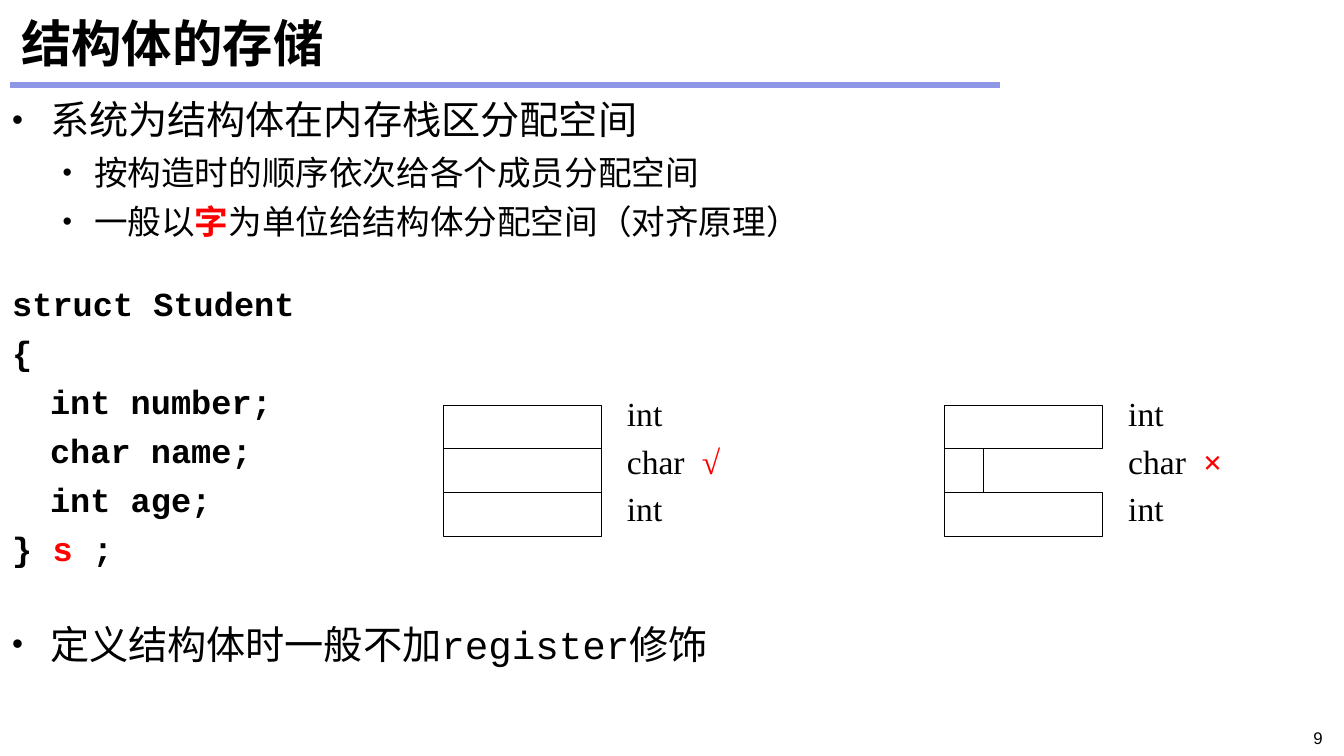
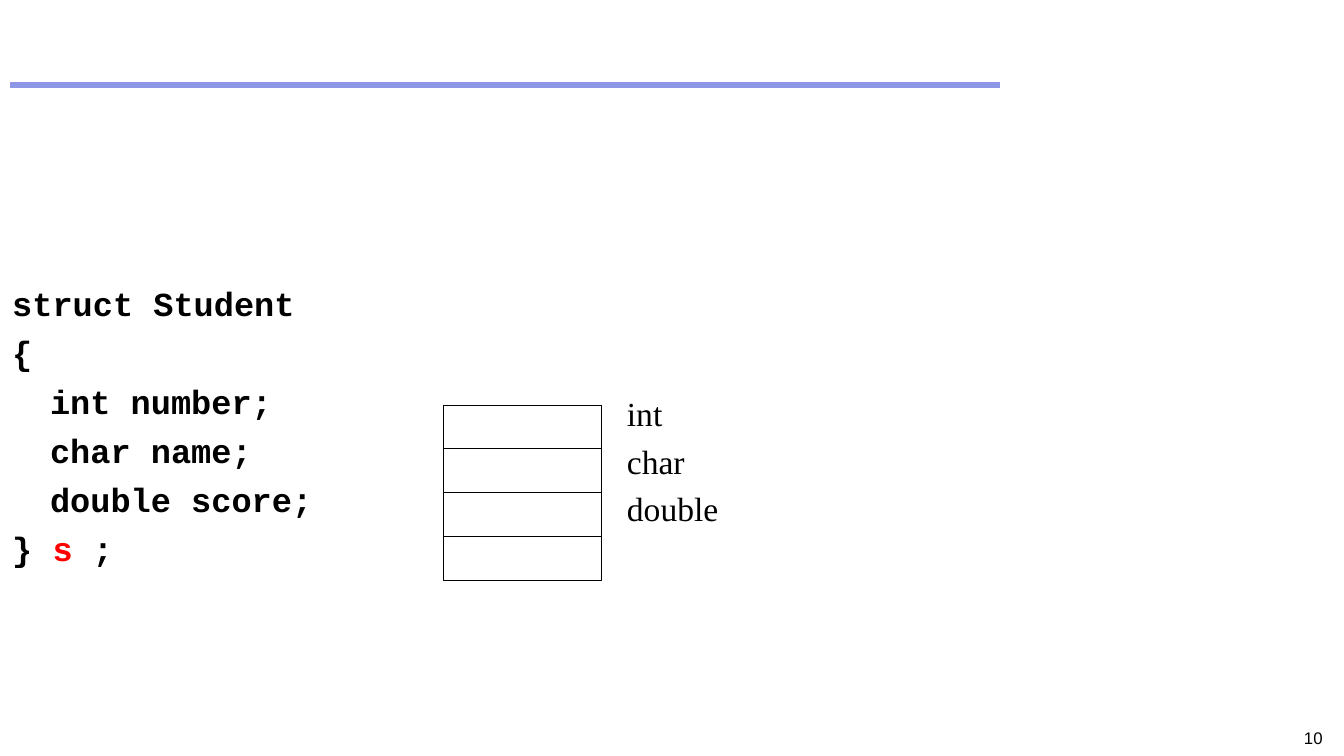
from lxml import etree
from pptx import Presentation
from pptx.dml.color import RGBColor
from pptx.enum import lang, shapes, text
from pptx.oxml import ns
from pptx.util import Pt

COLORS = {"ink": "000000", "rule": "8D97E5", "accent": "FF0000"}
CODE, SERIF, SANS, HEADING = "Courier New", "Times New Roman", "Arial", "Noto Sans CJK SC"
BODY_LEFT, BODY_WIDTH = 7.2, 944.6
CODE_TOP = 201
ROW_TOP, ROW_HEIGHT, ROW_WIDTH = 289.4, 31.3, 113
LABEL_TOP, LABEL_STEP, LABEL_OFFSET = 281, 33.8, 131
MARK_TAB = 53.5


def color(name):
    return RGBColor.from_string(COLORS[name])


def add_xml(parent, tag, **attributes):
    return etree.SubElement(parent, ns.qn(tag), attributes)


class Deck:
    def __init__(self):
        self.presentation = Presentation()
        self.presentation.slide_width = Pt(960)
        self.presentation.slide_height = Pt(540)
        self.slide = None

    def start_slide(self, number, title=None):
        layout = self.presentation.slide_layouts[5 if title else 6]
        self.slide = self.presentation.slides.add_slide(layout)
        if title:
            self.title(title)
        rule = self.slide.shapes.add_connector(
            shapes.MSO_CONNECTOR.STRAIGHT, Pt(7.2), Pt(60.5), Pt(714), Pt(60.5))
        rule.line.color.rgb = color("rule")
        rule.line.width = Pt(4.5)
        add_xml(rule._element.spPr, "a:effectLst")
        footer = self.box(857.5, 516.2, 94.3, 18, (7.2, 3.6))
        self.fill_paragraph(footer.paragraphs[0], [str(number)], SANS, 12,
                            align=text.PP_ALIGN.RIGHT)

    def title(self, words):
        heading = self.slide.shapes.title
        heading.left, heading.top = Pt(7.9), Pt(5.8)
        heading.width, heading.height = Pt(943.9), Pt(48.2)
        frame = heading.text_frame
        frame.auto_size = text.MSO_AUTO_SIZE.NONE
        frame.vertical_anchor = text.MSO_ANCHOR.MIDDLE
        self.fill_paragraph(frame.paragraphs[0], [words], HEADING, 36, bold=True)

    def box(self, left, top, width, height, insets):
        frame = self.slide.shapes.add_textbox(
            Pt(left), Pt(top), Pt(width), Pt(height)).text_frame
        frame.word_wrap = True
        frame.margin_left = frame.margin_right = Pt(insets[0])
        frame.margin_top = frame.margin_bottom = Pt(insets[1])
        return frame

    def fill_paragraph(self, paragraph, parts, face, size, bold=False,
                       align=text.PP_ALIGN.LEFT):
        paragraph.alignment = align
        font = paragraph.font
        font.name, font.size, font.bold = face, Pt(size), bold
        font.color.rgb = color("ink")
        font.language_id = lang.MSO_LANGUAGE_ID.SIMPLIFIED_CHINESE
        add_xml(paragraph._p.pPr.find(ns.qn("a:defRPr")), "a:ea", typeface=face)
        for part in parts:
            run = paragraph.add_run()
            if isinstance(part, tuple):
                run.text = part[0]
                run.font.bold = True
                run.font.color.rgb = color("accent")
            else:
                run.text = part

    def lines(self, top, height, entries):
        frame = self.box(BODY_LEFT, top, BODY_WIDTH, height, (1.5, 0.7))
        for index, (parts, style) in enumerate(entries):
            paragraph = frame.add_paragraph() if index else frame.paragraphs[0]
            properties = paragraph._p.get_or_add_pPr()
            margin, hanging = style["indent"]
            properties.set("marL", str(Pt(margin)))
            properties.set("indent", str(Pt(-hanging)))
            if hanging:
                add_xml(properties, "a:buSzPct", val="80000")
                add_xml(properties, "a:buFont", typeface=SANS)
                add_xml(properties, "a:buChar", char="•")
            paragraph.space_before = Pt(6.3)
            self.fill_paragraph(paragraph, parts, CODE, style["size"],
                                style.get("bold", False))

    def bullets(self, top, height, items):
        levels = [{"indent": (27, 27), "size": 28}, {"indent": (58.5, 22.5), "size": 24}]
        self.lines(top, height, [(parts, levels[level]) for level, parts in items])

    def struct(self, members):
        outer = {"indent": (0, 0), "size": 24, "bold": True}
        inner = {**outer, "indent": (27, 0)}
        self.lines(CODE_TOP, 204, [
            (["struct Student"], outer),
            (["{"], outer),
            *[([member], inner) for member in members],
            (["} ", ("s",), " ;"], outer)])

    def memory(self, left, widths, labels):
        for row, width in enumerate(widths):
            cell = self.slide.shapes.add_shape(
                shapes.MSO_SHAPE.RECTANGLE, Pt(left), Pt(ROW_TOP + row * ROW_HEIGHT),
                Pt(width), Pt(ROW_HEIGHT))
            cell.shadow.inherit = False
            cell.fill.background()
            cell.line.color.rgb = color("ink")
            cell.line.width = Pt(0.75)
        for row, parts in enumerate(labels):
            frame = self.box(left + LABEL_OFFSET, LABEL_TOP + row * LABEL_STEP,
                             110, 28.8, (0, 0))
            paragraph = frame.paragraphs[0]
            if len(parts) > 1:
                tabs = add_xml(paragraph._p.get_or_add_pPr(), "a:tabLst")
                add_xml(tabs, "a:tab", pos=str(Pt(MARK_TAB)), algn="l")
            self.fill_paragraph(paragraph, parts, SERIF, 24)


def main():
    deck = Deck()

    deck.start_slide(9, "结构体的存储")
    deck.bullets(67.7, 110, [
        (0, ["系统为结构体在内存栈区分配空间"]),
        (1, ["按构造时的顺序依次给各个成员分配空间"]),
        (1, ["一般以", ("字",), "为单位给结构体分配空间（对齐原理）"])])
    deck.struct(["int number;", "char name;", "int age;"])
    deck.bullets(442.5, 42, [(0, ["定义结构体时一般不加register修饰"])])
    for left, char_width, mark in [(316.8, ROW_WIDTH, "√"), (674.9, 28, "×")]:
        deck.memory(left, [ROW_WIDTH, char_width, ROW_WIDTH],
                    [["int"], ["char\t", (mark,)], ["int"]])

    deck.start_slide(10)
    deck.struct(["int number;", "char name;", "double score;"])
    deck.memory(316.8, [ROW_WIDTH] * 4, [["int"], ["char"], ["double"]])

    deck.presentation.save("out.pptx")


if __name__ == "__main__":
    main()
